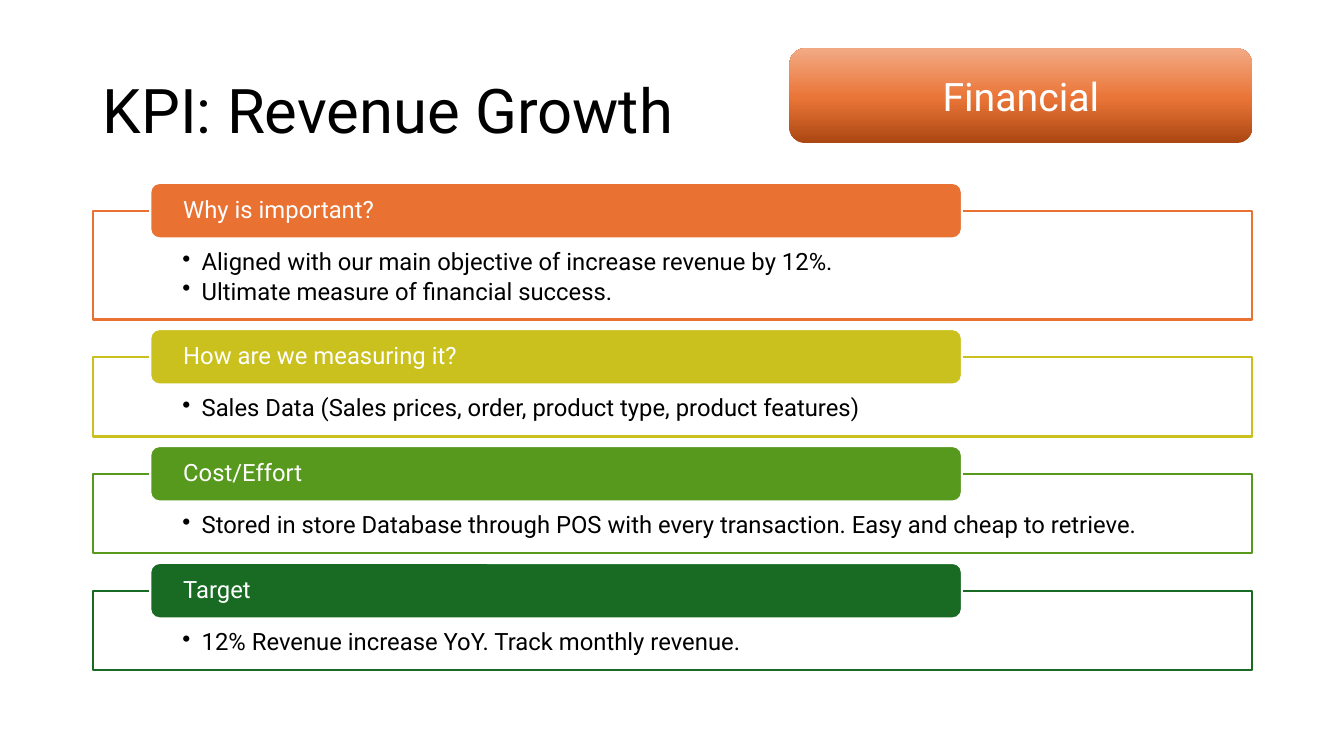
from copy import deepcopy
from dataclasses import dataclass

from lxml import etree
from pptx import Presentation
from pptx.dml.color import RGBColor
from pptx.enum.shapes import MSO_SHAPE
from pptx.enum.text import MSO_ANCHOR, PP_ALIGN
from pptx.oxml.ns import qn
from pptx.util import Inches, Pt

RECTANGLE = MSO_SHAPE.RECTANGLE
ROUNDED = MSO_SHAPE.ROUNDED_RECTANGLE
TOP, MIDDLE = MSO_ANCHOR.TOP, MSO_ANCHOR.MIDDLE
LEFT, CENTER = PP_ALIGN.LEFT, PP_ALIGN.CENTER

FONT = "Roboto"
BLACK, WHITE = "000000", "FFFFFF"
BODY_SIZE = 17

# Section layout, in inches
PANEL_LEFT, PANEL_WIDTH = 0.92, 11.5
FIRST_PANEL_TOP = 2.09
ONE_LINE_HEIGHT, EXTRA_LINE_HEIGHT = 0.79, 0.29
PANEL_GAP = 0.37
TAB_LEFT, TAB_WIDTH, TAB_HEIGHT = 1.49, 8.05, 0.55
BULLET_INDENT = 0.19


@dataclass(frozen=True)
class Section:
    heading: str
    color: str
    bullets: tuple[str, ...]

    @property
    def height(self) -> float:
        return ONE_LINE_HEIGHT + EXTRA_LINE_HEIGHT * (len(self.bullets) - 1)


SECTIONS = (
    Section("Why is important?", "E97132", (
        "Aligned with our main objective of increase revenue by 12%.",
        "Ultimate measure of financial success.",
    )),
    Section("How are we measuring it?", "CBC11E", (
        "Sales Data (Sales prices, order, product type, product features)",
    )),
    Section("Cost/Effort", "56991D", (
        "Stored in store Database through POS with every transaction. "
        "Easy and cheap to retrieve.",
    )),
    Section("Target", "196B24", (
        "12% Revenue increase YoY. Track monthly revenue.",
    )),
)
BADGE_STOPS = ((0, "AB4712"), (0.48, "EA7538"), (1, "F2AA84"))


def rgb(color: str) -> RGBColor:
    return RGBColor.from_string(color)


def add_box(slide, kind, left: float, top: float, width: float, height: float):
    shape = slide.shapes.add_shape(
        kind, Inches(left), Inches(top), Inches(width), Inches(height))
    shape.shadow.inherit = False
    return shape


def paint(shape, fill: str, line: str) -> None:
    shape.fill.solid()
    shape.fill.fore_color.rgb = rgb(fill)
    shape.line.color.rgb = rgb(line)
    shape.line.width = Pt(1.5)


def write(shape, lines: tuple[str, ...], size: float, color: str, *,
          anchor=MIDDLE, alignment=LEFT, spacing: float = 0.9,
          side: float = 0.1, top: float = 0.05, bottom: float = 0.05) -> None:
    frame = shape.text_frame
    frame.word_wrap = True
    frame.vertical_anchor = anchor
    frame.margin_left = frame.margin_right = Inches(side)
    frame.margin_top, frame.margin_bottom = Inches(top), Inches(bottom)
    frame.text = "\n".join(lines)
    for paragraph in frame.paragraphs:
        paragraph.alignment = alignment
        paragraph.line_spacing = spacing
        paragraph.font.name = FONT
        paragraph.font.size = Pt(size)
        paragraph.font.color.rgb = rgb(color)


def add_bullets(shape) -> None:
    for paragraph in shape.text_frame.paragraphs:
        paragraph.level = 1
        paragraph.space_after = Pt(2.8)
        properties = paragraph._p.get_or_add_pPr()
        properties.set("marL", str(Inches(BULLET_INDENT)))
        properties.set("indent", str(-Inches(BULLET_INDENT)))
        bullet = etree.Element(qn("a:buChar"), char="•")
        properties.find(qn("a:spcAft")).addnext(bullet)


def add_section(slide, section: Section, top: float) -> None:
    panel = add_box(slide, RECTANGLE, PANEL_LEFT, top, PANEL_WIDTH, section.height)
    paint(panel, WHITE, section.color)
    write(panel, section.bullets, BODY_SIZE, BLACK, anchor=TOP,
          side=0.89, top=0.39, bottom=0.13)
    add_bullets(panel)

    tab = add_box(slide, ROUNDED, TAB_LEFT, top - TAB_HEIGHT / 2, TAB_WIDTH, TAB_HEIGHT)
    paint(tab, section.color, WHITE)
    write(tab, (section.heading,), BODY_SIZE, WHITE, side=0.3, top=0, bottom=0)


def add_badge(slide) -> None:
    badge = add_box(slide, ROUNDED, 7.83, 0.48, 4.59, 0.94)
    badge.line.fill.background()
    badge.fill.gradient()
    badge.fill.gradient_angle = 90
    stop_list = badge._element.spPr.find(qn("a:gradFill")).find(qn("a:gsLst"))
    stop_list.append(deepcopy(stop_list[0]))
    for stop, (position, color) in zip(badge.fill.gradient_stops, BADGE_STOPS):
        stop.position = position
        stop.color.rgb = rgb(color)
    write(badge, ("Financial",), 28, WHITE, alignment=CENTER, spacing=1.0)


def main() -> None:
    presentation = Presentation()
    presentation.slide_width = Inches(13.33)
    presentation.slide_height = Inches(7.5)
    slide = presentation.slides.add_slide(presentation.slide_layouts[6])

    # Title
    title = slide.shapes.add_textbox(
        Inches(PANEL_LEFT), Inches(0.4), Inches(PANEL_WIDTH), Inches(1.45))
    write(title, ("KPI: Revenue Growth",), 44, BLACK)

    # Stacked sections
    top = FIRST_PANEL_TOP
    for section in SECTIONS:
        add_section(slide, section, top)
        top += section.height + PANEL_GAP

    # Category badge
    add_badge(slide)

    presentation.save("out.pptx")


if __name__ == "__main__":
    main()
